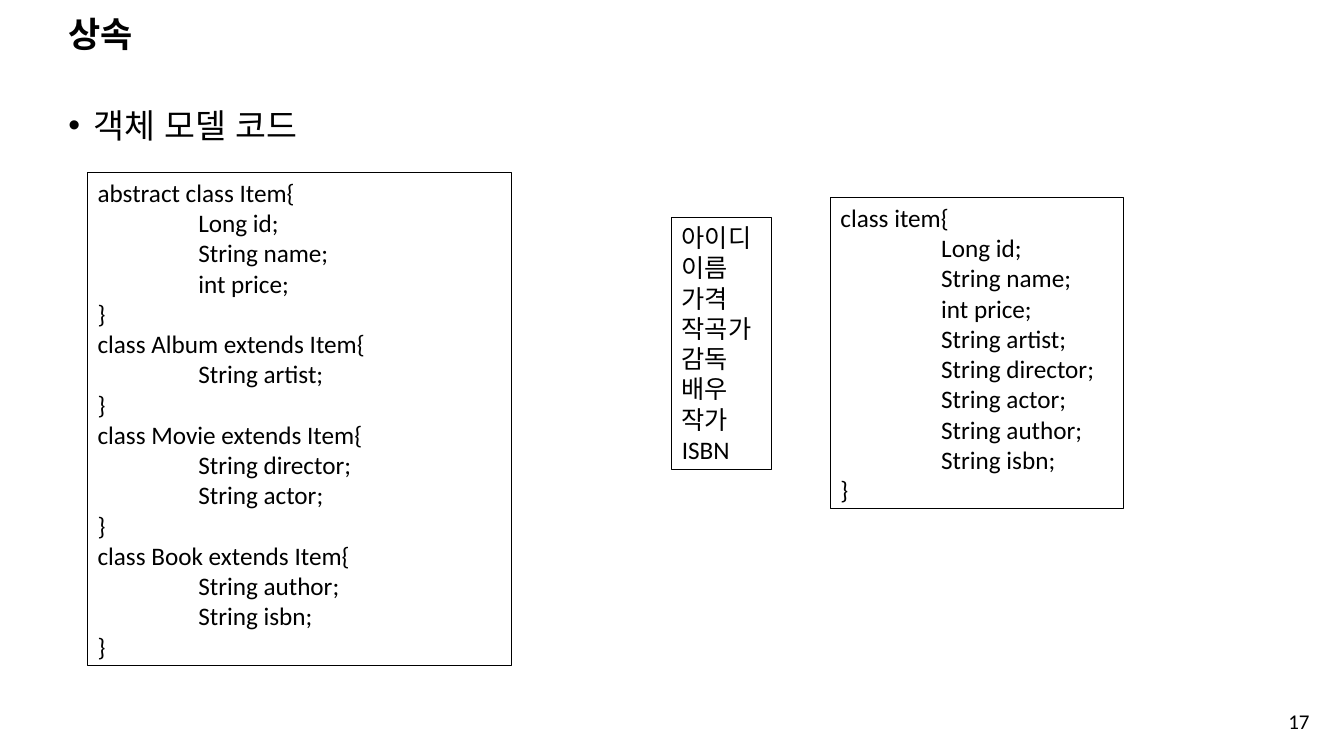
from lxml import etree
from pptx import Presentation
from pptx import util as u
from pptx.dml import color
from pptx.enum import text
from pptx.oxml import ns

BLACK = color.RGBColor(0, 0, 0)
WHITE = color.RGBColor(255, 255, 255)

deck = Presentation()
deck.slide_width, deck.slide_height = u.Pt(960), u.Pt(540)
page = deck.slides.add_slide(deck.slide_layouts[6])
page.background.fill.solid()
page.background.fill.fore_color.rgb = WHITE


def add_text(place, lines, font, anchor=text.MSO_ANCHOR.TOP, **layout):
    box = page.shapes.add_textbox(*[u.Pt(length) for length in place])
    box.text_frame.word_wrap = True
    box.text_frame.vertical_anchor = anchor
    for number, line in enumerate(lines):
        para = box.text_frame.paragraphs[0] if number == 0 else box.text_frame.add_paragraph()
        para._p.get_or_add_pPr().set("defTabSz", str(u.Pt(72)))
        for name, value in layout.items():
            setattr(para, name, value)
        span = para.add_run()
        span.text = line
        for name, value in font.items():
            setattr(span.font, name, value)
        span.font.color.rgb = BLACK
    return box


add_text((41.76, 12.24, 828, 27.36), ["상속"],
         {"name": "Arial", "size": u.Pt(25), "bold": True},
         text.MSO_ANCHOR.MIDDLE, line_spacing=0.9)

topic = add_text((41.76, 59.76, 892.08, 427.68), ["객체 모델 코드"],
                 {"name": "Arial", "size": u.Pt(24)},
                 line_spacing=1.4, space_before=u.Pt(10))
topic_para = topic.text_frame.paragraphs[0]
indent = topic_para._p.get_or_add_pPr()
indent.set("marL", str(u.Pt(18)))
indent.set("indent", str(u.Pt(-18)))
etree.SubElement(indent, ns.qn("a:buFont"), typeface="Arial")
etree.SubElement(indent, ns.qn("a:buChar"), char="•")
etree.SubElement(topic_para.runs[0].font._element, ns.qn("a:ea"), typeface="Arial")

add_text((726.48, 500.4, 216, 28.8), ["17"],
         {"name": "Calibri", "size": u.Pt(15)},
         text.MSO_ANCHOR.MIDDLE, alignment=text.PP_ALIGN.RIGHT)

class_code = [
    "abstract class Item{", "\tLong id;", "\tString name;", "\tint price;", "}",
    "class Album extends Item{", "\tString artist;", "}",
    "class Movie extends Item{", "\tString director;", "\tString actor;", "}",
    "class Book extends Item{", "\tString author;", "\tString isbn;", "}",
]
field_names = ["아이디", "이름", "가격", "작곡가", "감독", "배우", "작가", "ISBN"]
merged_code = [
    "class item{", "\tLong id;", "\tString name;", "\tint price;", "\tString artist;",
    "\tString director;", "\tString actor;", "\tString author;", "\tString isbn;", "}",
]

for place, lines in [
    ((62.6, 123.1, 302.9, 352), class_code),
    ((479.9, 155.4, 70.9, 180), field_names),
    ((593.2, 141, 209.4, 222.4), merged_code),
]:
    panel = add_text(place, lines, {"name": "Calibri", "size": u.Pt(18)})
    panel.text_frame.auto_size = text.MSO_AUTO_SIZE.SHAPE_TO_FIT_TEXT
    panel.line.color.rgb = BLACK
    panel.line.width = u.Pt(0.75)

deck.save("out.pptx")
